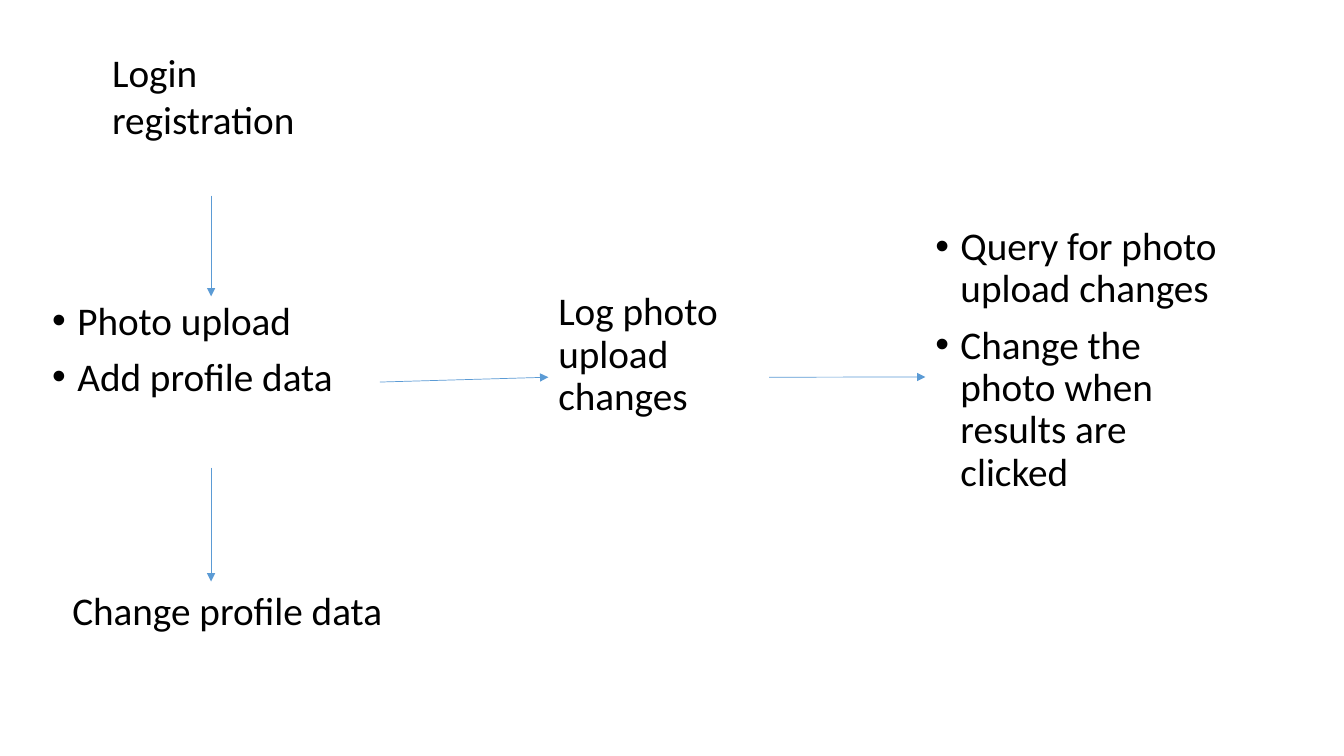
from lxml import etree
from pptx import Presentation
from pptx.dml.color import RGBColor
from pptx.enum.shapes import MSO_CONNECTOR
from pptx.oxml.ns import qn
from pptx.util import Pt

STRAIGHT = MSO_CONNECTOR.STRAIGHT
TOP, LEFT, BOTTOM, RIGHT = range(4)
FONT, SIZE, INK, BLUE = "Calibri", 28, "000000", "5B9BD5"
INDENT = 18

STEPS = {
    "login": ((73, 31, 155.6, 108.7), "plain", ["Login", "registration"]),
    "photo": ((30.2, 211.7, 241.2, 122.4), "bullet",
              ["Photo upload", "Add profile data"]),
    "log": ((391.7, 205, 157.7, 128.9), "tight", ["Log photo upload changes"]),
    "query": ((661, 158.4, 230.4, 221.8), "bullet",
              ["Query for photo upload changes",
               "Change the photo when results are clicked"]),
    "change": ((44.6, 415.4, 290.2, 74.9), "plain", ["Change profile data"]),
}
LINKS = [
    ("login", BOTTOM, "photo", TOP),
    ("photo", RIGHT, "log", LEFT),
    ("log", RIGHT, "query", LEFT),
    ("photo", BOTTOM, "change", None),
]


def color(code):
    return RGBColor.from_string(code)


def add_step(slide, box, style, lines):
    shape = slide.shapes.add_textbox(*map(Pt, box))
    frame = shape.text_frame
    frame.word_wrap = True
    for i, line in enumerate(lines):
        para = frame.paragraphs[0] if i == 0 else frame.add_paragraph()
        if style != "plain":
            para.line_spacing = 0.9
            para.space_before = Pt(10)
        if style == "bullet":
            props = para._p.get_or_add_pPr()
            props.set("marL", str(Pt(INDENT)))
            props.set("indent", str(-Pt(INDENT)))
            etree.SubElement(props, qn("a:buFont")).set("typeface", "Arial")
            etree.SubElement(props, qn("a:buChar")).set("char", "•")
        run = para.add_run()
        run.text = line
        run.font.name = FONT
        run.font.size = Pt(SIZE)
        run.font.color.rgb = color(INK)
    return shape


def add_link(slide, start, side, end, goal):
    x = start.left + start.width // 2
    link = slide.shapes.add_connector(STRAIGHT, x, start.top, x, end.top)
    link.begin_connect(start, side)
    if goal is not None:
        link.end_connect(end, goal)
    link.line.color.rgb = color(BLUE)
    link.line.width = Pt(0.5)
    tail = etree.SubElement(link.line._get_or_add_ln(), qn("a:tailEnd"))
    tail.set("type", "triangle")
    etree.SubElement(link._element.spPr, qn("a:effectLst"))


def main():
    deck = Presentation()
    deck.slide_width, deck.slide_height = Pt(960), Pt(540)
    slide = deck.slides.add_slide(deck.slide_layouts[6])
    shapes = {name: add_step(slide, *step) for name, step in STEPS.items()}
    for start, side, end, goal in LINKS:
        add_link(slide, shapes[start], side, shapes[end], goal)
    deck.save("out.pptx")


if __name__ == "__main__":
    main()
